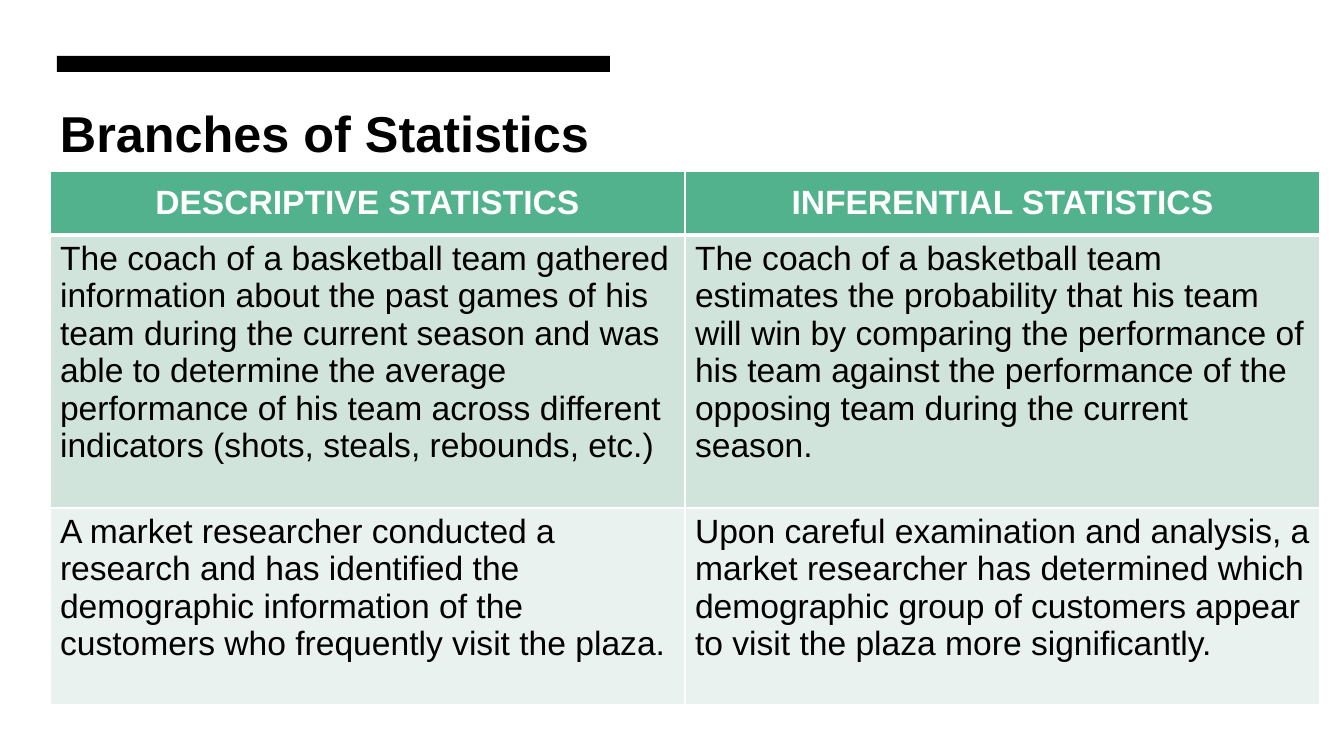
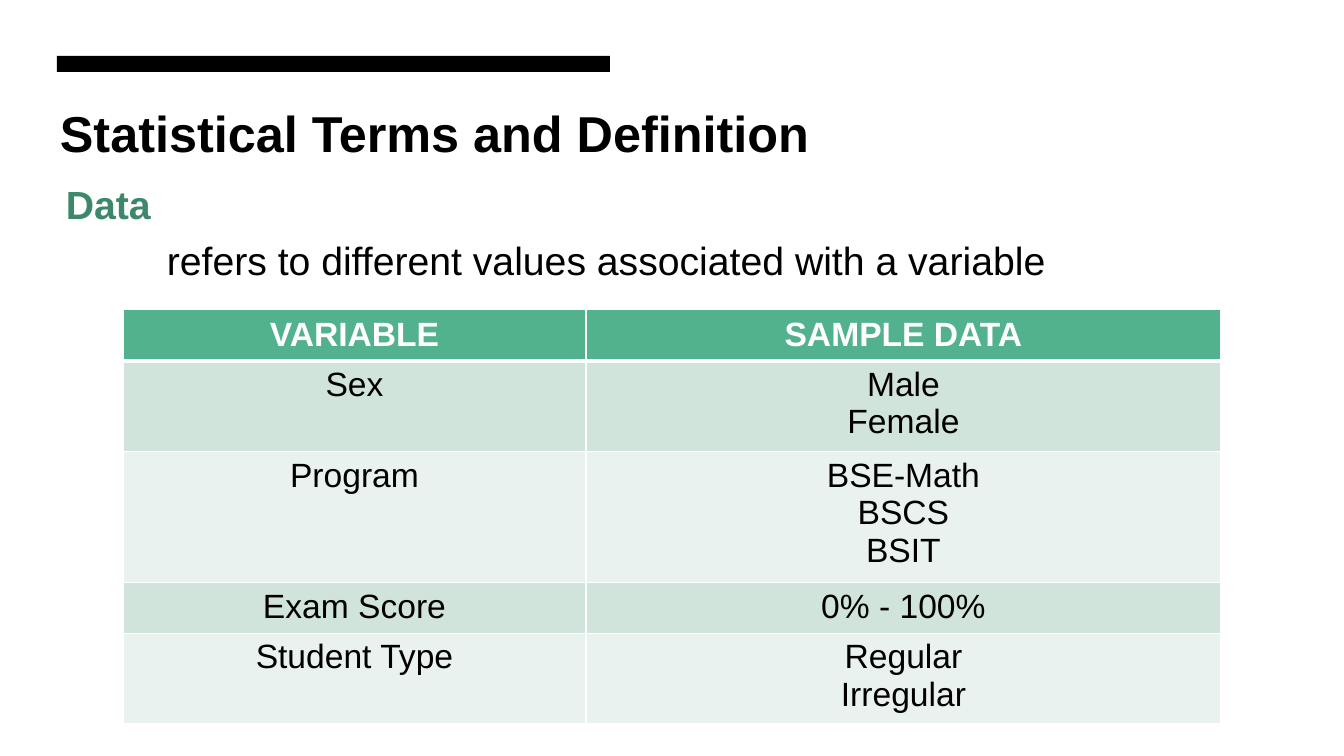
from dataclasses import dataclass

from lxml import etree
from pptx import Presentation
from pptx.dml.color import RGBColor
from pptx.enum.shapes import MSO_SHAPE
from pptx.enum.text import MSO_ANCHOR, PP_ALIGN
from pptx.oxml.ns import qn
from pptx.util import Emu, Pt

RECTANGLE = MSO_SHAPE.RECTANGLE
TOP, MIDDLE = MSO_ANCHOR.TOP, MSO_ANCHOR.MIDDLE
LEFT, CENTER, JUSTIFY = PP_ALIGN.LEFT, PP_ALIGN.CENTER, PP_ALIGN.JUSTIFY

SLIDE_WIDTH, SLIDE_HEIGHT = 1344, 756
EMU_PER_PX = 12192000 / SLIDE_WIDTH


@dataclass(frozen=True)
class Theme:
    font: str = "Arial"
    ink: str = "000000"
    white: str = "FFFFFF"
    term: str = "3D876B"
    header: str = "53B28E"
    bands: tuple = ("D1E4DB", "E9F2EE")
    title_size: int = 36
    body_size: int = 28
    table_size: int = 24
    rule_width: int = 1
    header_rule_width: int = 3


THEME = Theme()


def px(length):
    return Emu(round(length * EMU_PER_PX))


def style(paragraph, size, color, bold=False, align=LEFT):
    paragraph.alignment = align
    for run in paragraph.runs:
        run.font.name = THEME.font
        run.font.size = Pt(size)
        run.font.bold = bold
        run.font.color.rgb = RGBColor.from_string(color)


lessons = [
    {
        "title": "Branches of Statistics",
        "definition": None,
        "left": 50, "top": 171,
        "columns": [635, 635],
        "row_heights": [64, 273, 197],
        "body_align": LEFT,
        "rows": [
            ("DESCRIPTIVE STATISTICS", "INFERENTIAL STATISTICS"),
            ("The coach of a basketball team gathered information about the past "
             "games of his team during the current season and was able to determine "
             "the average performance of his team across different indicators "
             "(shots, steals, rebounds, etc.)",
             "The coach of a basketball team estimates the probability that his "
             "team will win by comparing the performance of his team against the "
             "performance of the opposing team during the current season."),
            ("A market researcher conducted a research and has identified the "
             "demographic information of the customers who frequently visit "
             "the plaza.",
             "Upon careful examination and analysis, a market researcher has "
             "determined which demographic group of customers appear to visit "
             "the plaza more significantly."),
        ],
    },
    {
        "title": "Statistical Terms and Definition",
        "definition": ("Data", "refers to different values associated with a variable"),
        "left": 123, "top": 309,
        "columns": [463, 635],
        "row_heights": [52, 85, 123, 48, 85],
        "body_align": CENTER,
        "rows": [
            ("VARIABLE", "SAMPLE DATA"),
            ("Sex", "Male\nFemale"),
            ("Program", "BSE-Math\nBSCS\nBSIT"),
            ("Exam Score", "0% - 100%"),
            ("Student Type", "Regular\nIrregular"),
        ],
    },
]

prs = Presentation()
prs.slide_width, prs.slide_height = px(SLIDE_WIDTH), px(SLIDE_HEIGHT)
blank_layout = prs.slide_layouts[6]

for lesson in lessons:
    slide = prs.slides.add_slide(blank_layout)

    accent_bar = slide.shapes.add_shape(RECTANGLE, px(57), px(56), px(553), px(16))
    accent_bar.shadow.inherit = False
    accent_bar.fill.solid()
    accent_bar.fill.fore_color.rgb = RGBColor.from_string(THEME.ink)
    accent_bar.line.fill.background()

    title = slide.shapes.add_textbox(px(50), px(93), px(1271), px(78)).text_frame
    title.word_wrap = True
    title.vertical_anchor = MIDDLE
    title.text = lesson["title"]
    style(title.paragraphs[0], THEME.title_size, THEME.ink, bold=True)

    if lesson["definition"]:
        definition = slide.shapes.add_textbox(px(56), px(171), px(1257), px(147)).text_frame
        definition.word_wrap = True
        definition.text = "\n".join(lesson["definition"])
        term, meaning = definition.paragraphs
        style(term, THEME.body_size, THEME.term, bold=True)
        style(meaning, THEME.body_size, THEME.ink, align=JUSTIFY)
        for paragraph in (term, meaning):
            paragraph.line_spacing = 1.1
            paragraph.space_before = Pt(3)
        meaning._p.get_or_add_pPr().set("indent", str(px(101)))

    rows, columns, heights = lesson["rows"], lesson["columns"], lesson["row_heights"]
    table = slide.shapes.add_table(
        len(rows), len(columns), px(lesson["left"]), px(lesson["top"]),
        px(sum(columns)), px(sum(heights))).table
    for column, width in zip(table.columns, columns):
        column.width = px(width)
    for row, height in zip(table.rows, heights):
        row.height = px(height)

    for row_index, entries in enumerate(rows):
        is_header = row_index == 0
        for column_index, entry in enumerate(entries):
            cell = table.cell(row_index, column_index)
            cell.text = entry
            cell.vertical_anchor = MIDDLE if is_header else TOP
            for paragraph in cell.text_frame.paragraphs:
                style(paragraph, THEME.table_size,
                      THEME.white if is_header else THEME.ink, bold=is_header,
                      align=CENTER if is_header else lesson["body_align"])

            # Borders must come before the fill in the cell properties
            properties = cell._tc.get_or_add_tcPr()
            for side in ("lnL", "lnR", "lnT", "lnB"):
                under_header = (row_index, side) in ((0, "lnB"), (1, "lnT"))
                width = THEME.header_rule_width if under_header else THEME.rule_width
                border = etree.SubElement(properties, qn(f"a:{side}"), w=str(Pt(width)))
                line_fill = etree.SubElement(border, qn("a:solidFill"))
                etree.SubElement(line_fill, qn("a:srgbClr"), val=THEME.white)

            cell.fill.solid()
            cell.fill.fore_color.rgb = RGBColor.from_string(
                THEME.header if is_header else THEME.bands[(row_index - 1) % 2])

prs.save("out.pptx")
